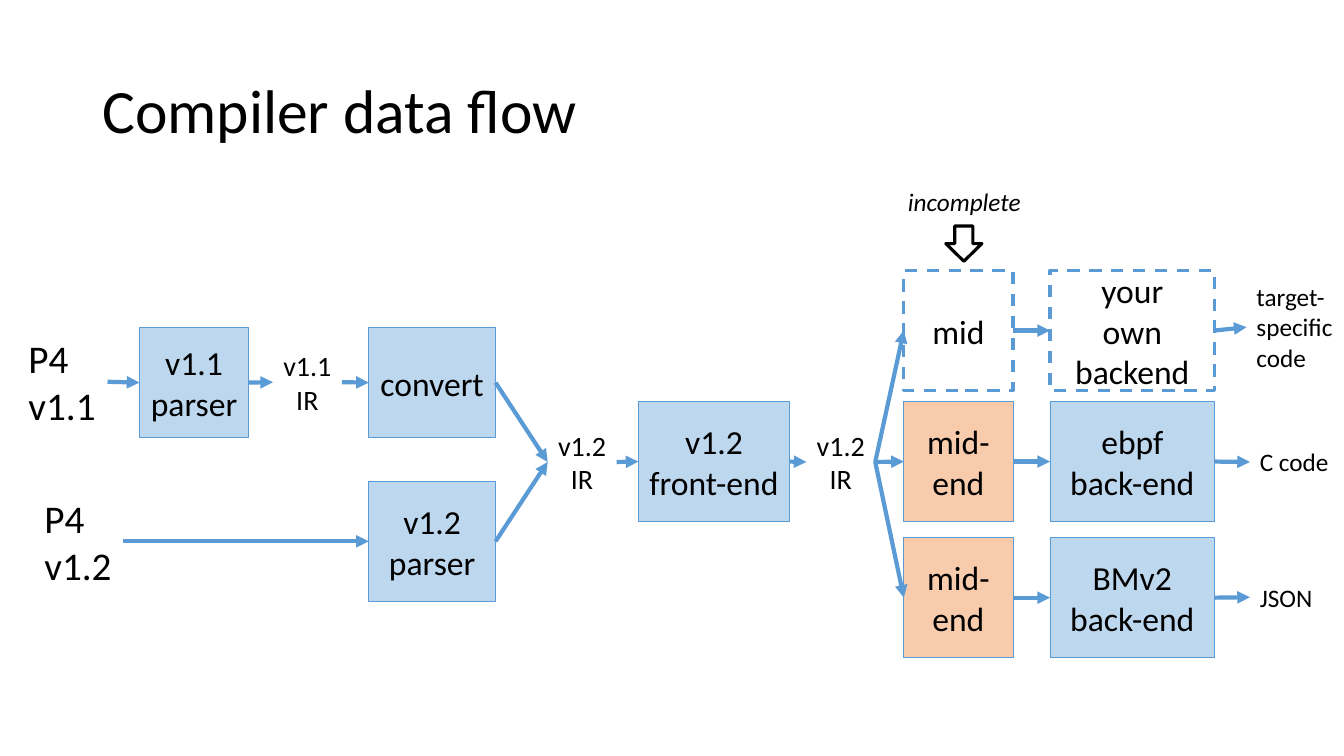
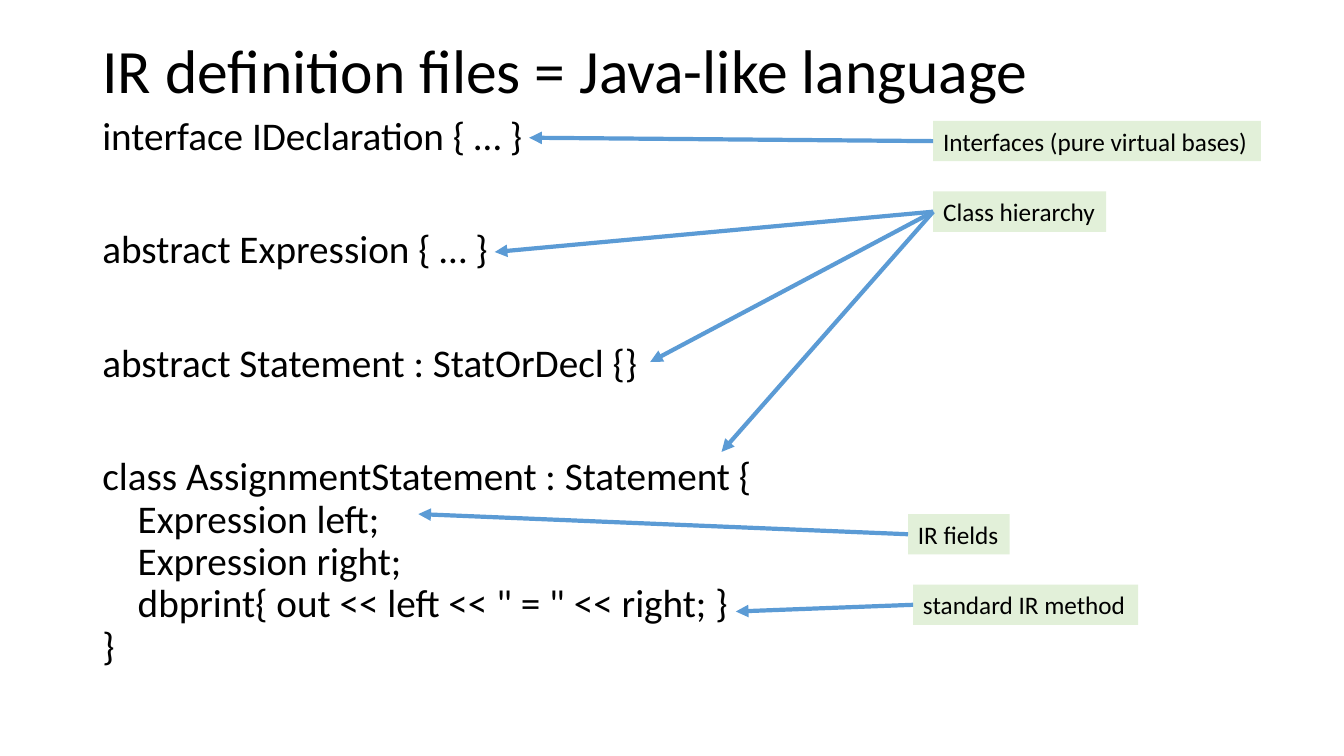
from dataclasses import dataclass
from typing import Optional

from lxml.etree import SubElement
from pptx import Presentation
from pptx.dml.color import RGBColor
from pptx.enum.dml import MSO_LINE
from pptx.enum.shapes import MSO_CONNECTOR as Connector, MSO_SHAPE as Preset
from pptx.enum.text import MSO_ANCHOR as Anchor, MSO_AUTO_SIZE as AutoSize, PP_ALIGN as Align
from pptx.oxml.ns import qn
from pptx.util import Emu, Inches, Pt

FONT = "Calibri"
BLACK, WHITE = "000000", "FFFFFF"
BLUE, PALE_BLUE = "5B9BD5", "BDD7EE"
PEACH, PALE_GREEN = "F8CBAD", "E2F0D9"

# The slide is a grid of 160 columns by 90 rows of square cells.
SLIDE_WIDTH, SLIDE_HEIGHT = Inches(40 / 3), Inches(7.5)
COLUMNS = 160
CELL = SLIDE_WIDTH / COLUMNS
LEFT_MARGIN, TEXT_WIDTH = 11, 138
RIGHT_SIDE, LEFT_SIDE = 3, 1


@dataclass(frozen=True)
class Area:
    left: float
    top: float
    width: float
    height: float


@dataclass(frozen=True)
class Style:
    size: float
    fill: Optional[str] = None
    line: Optional[str] = None
    line_width: float = 0.5
    dashed: bool = False
    align: Align = Align.LEFT
    anchor: Anchor = Anchor.TOP
    wrap: bool = False
    italic: bool = False
    line_spacing: float = 1.0
    space_before: float = 0


@dataclass(frozen=True)
class Block:
    text: str
    area: Area
    style: Style


@dataclass(frozen=True)
class Callout:
    block: Block
    targets: tuple


TITLE = Style(44, anchor=Anchor.MIDDLE, wrap=True, line_spacing=0.9)
CODE = Style(28, wrap=True, line_spacing=0.9, space_before=50.8)
STAGE = Style(24, PALE_BLUE, BLUE, align=Align.CENTER, anchor=Anchor.MIDDLE, wrap=True)
MID_END = Style(24, PEACH, BLUE, align=Align.CENTER, anchor=Anchor.MIDDLE, wrap=True)
PLANNED = Style(24, None, BLUE, 2.25, True, Align.CENTER, Anchor.MIDDLE, True)
SOURCE = Style(28)
IR = Style(20, align=Align.CENTER)
OUTPUT = Style(18)
REMARK = Style(18, align=Align.CENTER, italic=True)
NOTE = Style(18, PALE_GREEN)

STAGE_HEIGHT, INPUT_HEIGHT = 14.3, 13.1
MID_COLUMN, MID_WIDTH = 107.6, 13
BACK_COLUMN, BACK_WIDTH = 125, 19.6
PLANNED_ROW, EBPF_ROW, BMV2_ROW = 32.2, 47.8, 64
INPUT_ROW, INPUT_COLUMN, INPUT_WIDTH = 39, 43.9, 15.1
NOTE_HEIGHT = 4.8


def mid_area(row: float) -> Area:
    return Area(MID_COLUMN, row, MID_WIDTH, STAGE_HEIGHT)


def back_area(row: float) -> Area:
    return Area(BACK_COLUMN, row, BACK_WIDTH, STAGE_HEIGHT)


FLOW_BLOCKS = {
    "source 1.1": Block("P4\nv1.1", Area(2.2, 39.2, 10.6, 12.5), SOURCE),
    "source 1.2": Block("P4\nv1.2", Area(4.1, 58.2, 10.6, 12.5), SOURCE),
    "parser 1.1": Block("v1.1\nparser", Area(16.6, INPUT_ROW, 13, INPUT_HEIGHT), STAGE),
    "parser 1.2": Block("v1.2\nparser", Area(INPUT_COLUMN, 57.3, INPUT_WIDTH, STAGE_HEIGHT), STAGE),
    "convert": Block("convert", Area(INPUT_COLUMN, INPUT_ROW, INPUT_WIDTH, INPUT_HEIGHT), STAGE),
    "IR 1.1": Block("v1.1\vIR", Area(32.5, 40.9, 8.2, 9.2), IR),
    "IR 1.2": Block("v1.2\vIR", Area(65.2, 50.4, 8.2, 9.2), IR),
    "front-end": Block("v1.2\nfront-end", Area(76, EBPF_ROW, 18, STAGE_HEIGHT), STAGE),
    "IR out": Block("v1.2\vIR", Area(96, 50.4, 8.2, 9.2), IR),
    "mid planned": Block("mid", mid_area(PLANNED_ROW), PLANNED),
    "mid ebpf": Block("mid-\vend", mid_area(EBPF_ROW), MID_END),
    "mid BMv2": Block("mid-\vend", mid_area(BMV2_ROW), MID_END),
    "back planned": Block("your\vown\vbackend", back_area(PLANNED_ROW), PLANNED),
    "back ebpf": Block("ebpf\nback-end", back_area(EBPF_ROW), STAGE),
    "back BMv2": Block("BMv2\nback-end", back_area(BMV2_ROW), STAGE),
    "target code": Block("target-\vspecific\ncode", Area(148.4, 32.9, 11.6, 12.1), OUTPUT),
    "C code": Block("C code", Area(148.8, 52.6, 10.7, NOTE_HEIGHT), OUTPUT),
    "JSON": Block("JSON", Area(148.8, 68.7, 8.8, NOTE_HEIGHT), OUTPUT),
    "remark": Block("incomplete", Area(106.8, 21.6, 16, NOTE_HEIGHT), REMARK),
}
FLOW_PATHS = (
    ("source 1.1", "parser 1.1", "IR 1.1", "convert", "IR 1.2", "front-end", "IR out"),
    ("source 1.2", "parser 1.2", "IR 1.2"),
    ("IR out", "mid planned", "back planned", "target code"),
    ("IR out", "mid ebpf", "back ebpf", "C code"),
    ("IR out", "mid BMv2", "back BMv2", "JSON"),
)
REMARK_ARROW = Area(112.6, 26.9, 4.3, 4.2)

IR_CODE = (
    "interface IDeclaration { … }\n"
    "abstract Expression { … }\n"
    "abstract Statement : StatOrDecl {}\n"
    "class AssignmentStatement : Statement {\v"
    "    Expression left;\v"
    "    Expression right;\v"
    '    dbprint{ out << left << " = " << right; }\v'
    "}"
)


def note(text: str, left: float, top: float, width: float) -> Block:
    return Block(text, Area(left, top, width, NOTE_HEIGHT), NOTE)


CALLOUTS = (
    Callout(note("Interfaces (pure virtual bases)", 111.1, 14.4, 39), ((63, 16.4),)),
    Callout(note("Class hierarchy", 111.1, 22.8, 20.6),
            ((58.9, 30), (77.4, 43.1), (85.9, 53.8))),
    Callout(note("IR fields", 108.1, 61.2, 12.1), ((49.8, 61.2),)),
    Callout(note("standard IR method", 108.7, 69.6, 26.8), ((87.6, 72.8),)),
)


def color(value: str) -> RGBColor:
    return RGBColor.from_string(value)


def cells(count: float) -> Emu:
    return Emu(round(count * CELL))


def place(area: Area) -> tuple:
    return tuple(cells(n) for n in (area.left, area.top, area.width, area.height))


def paint(shape, fill: Optional[str], line: Optional[str], width: float = 0.5) -> None:
    shape.shadow.inherit = False
    if fill:
        shape.fill.solid()
        shape.fill.fore_color.rgb = color(fill)
    else:
        shape.fill.background()
    if line:
        shape.line.color.rgb = color(line)
        shape.line.width = Pt(width)
    else:
        shape.line.fill.background()


def write(shape, text: str, style: Style) -> None:
    frame = shape.text_frame
    frame.text = text
    frame.word_wrap = style.wrap
    frame.auto_size = AutoSize.NONE if style.wrap else AutoSize.SHAPE_TO_FIT_TEXT
    frame.vertical_anchor = style.anchor
    for index, paragraph in enumerate(frame.paragraphs):
        paragraph.alignment = style.align
        paragraph.line_spacing = style.line_spacing
        paragraph.space_before = Pt(style.space_before if index else 0)
        for run in paragraph.runs:
            run.font.name = FONT
            run.font.size = Pt(style.size)
            run.font.italic = style.italic
            run.font.color.rgb = color(BLACK)


def add_block(slide, block: Block):
    """Draw a rectangle where the style has fill or line, else a text box."""
    style = block.style
    if style.fill or style.line:
        shape = slide.shapes.add_shape(Preset.RECTANGLE, *place(block.area))
        paint(shape, style.fill, style.line, style.line_width)
        if style.dashed:
            shape.line.dash_style = MSO_LINE.DASH
    else:
        shape = slide.shapes.add_textbox(*place(block.area))
    write(shape, block.text, style)
    return shape


def add_arrow(slide, source, end: tuple = (0, 0), target=None) -> None:
    """Join the source's side to the target's facing side, or to a grid point."""
    arrow = slide.shapes.add_connector(Connector.STRAIGHT, 0, 0, cells(end[0]), cells(end[1]))
    side = RIGHT_SIDE if target is not None else LEFT_SIDE
    arrow.begin_connect(source, side)
    if target is not None:
        arrow.end_connect(target, LEFT_SIDE)
    arrow.line.color.rgb = color(BLUE)
    arrow.line.width = Pt(3)
    SubElement(arrow.line._get_or_add_ln(), qn("a:tailEnd"), type="triangle")
    SubElement(arrow._element.spPr, qn("a:effectLst"))


def add_titled_slide(presentation, title: str, top: float, height: float):
    slide = presentation.slides.add_slide(presentation.slide_layouts[6])
    add_block(slide, Block(title, Area(LEFT_MARGIN, top, TEXT_WIDTH, height), TITLE))
    return slide


def build_data_flow(presentation) -> None:
    slide = add_titled_slide(presentation, "Compiler data flow", 4.8, 17.4)
    shapes = {name: add_block(slide, block) for name, block in FLOW_BLOCKS.items()}
    for path in FLOW_PATHS:
        for source, target in zip(path, path[1:]):
            add_arrow(slide, shapes[source], target=shapes[target])
    pointer = slide.shapes.add_shape(Preset.DOWN_ARROW, *place(REMARK_ARROW))
    paint(pointer, WHITE, BLACK, 2.25)


def build_ir_definitions(presentation) -> None:
    slide = add_titled_slide(presentation, "IR definition files = Java-like language", 4.1, 9.2)
    add_block(slide, Block(IR_CODE, Area(LEFT_MARGIN, 13.3, TEXT_WIDTH, 73.7), CODE))
    for callout in CALLOUTS:
        shape = add_block(slide, callout.block)
        for target in callout.targets:
            add_arrow(slide, shape, end=target)


def main() -> None:
    presentation = Presentation()
    presentation.slide_width, presentation.slide_height = SLIDE_WIDTH, SLIDE_HEIGHT
    build_data_flow(presentation)
    build_ir_definitions(presentation)
    presentation.save("out.pptx")


if __name__ == "__main__":
    main()
